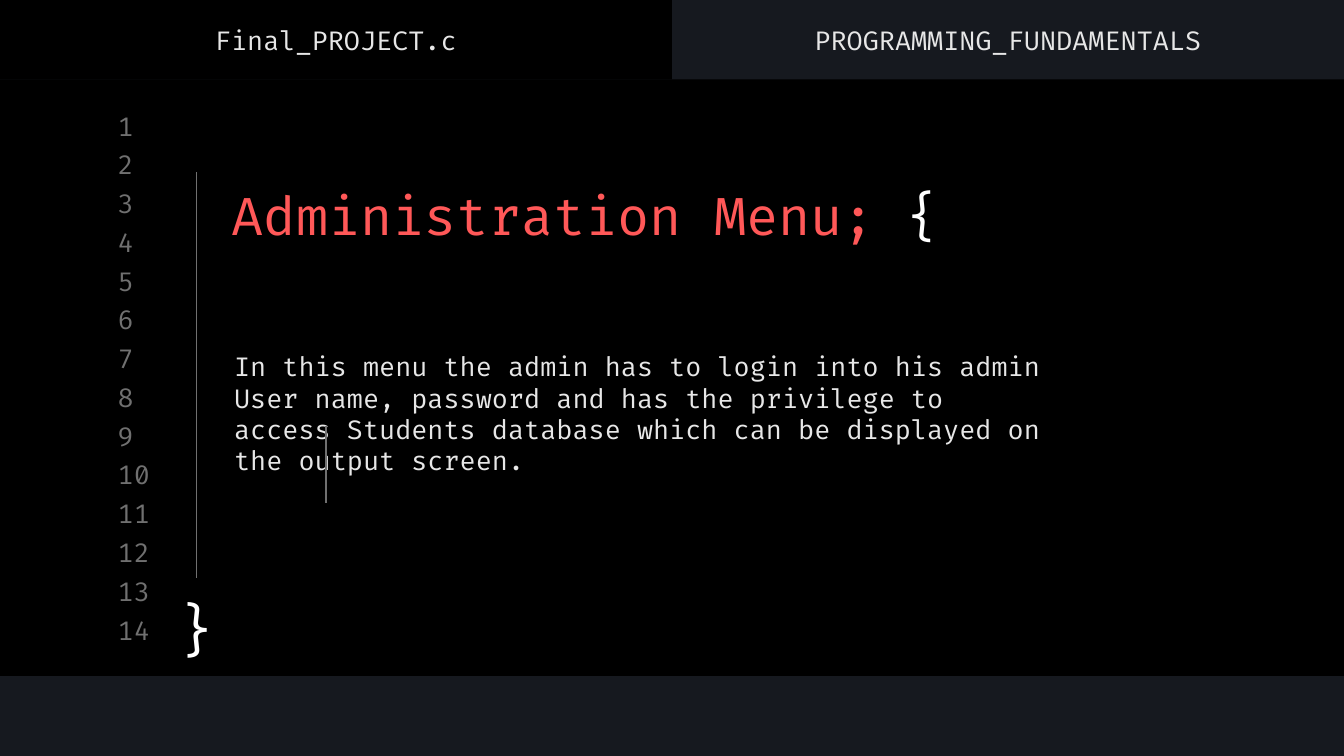
import pptx
import pptx.util
import pptx.dml.color
import pptx.enum.shapes
import pptx.enum.text
from dataclasses import dataclass
from lxml import etree

COLS, ROWS = 100, 56.25
CELL = 0.1  # inches
ALIGN = pptx.enum.text.PP_ALIGN
ANCHOR = pptx.enum.text.MSO_ANCHOR


@dataclass(frozen=True)
class Theme:
    font: str = "Fira Code"
    back: str = "16191F"
    panel: str = "000000"
    dim: str = "707070"
    text: str = "E7E7E7"
    white: str = "FFFFFF"
    red: str = "FF5858"
    body: int = 14
    head: int = 28
    brace: int = 30
    rule: float = 0.75


def grid(*cells):
    return [pptx.util.Inches(n * CELL) for n in cells]


def color(code):
    return pptx.dml.color.RGBColor.from_string(code)


class Page:
    """Draws on one slide, in cells of the grid."""

    def __init__(self, deck, theme):
        self.theme = theme
        self.slide = deck.slides.add_slide(deck.slide_layouts[6])
        fill = self.slide.background.fill
        fill.solid()
        fill.fore_color.rgb = color(theme.back)

    def panel(self, *box):
        kind = pptx.enum.shapes.MSO_SHAPE.RECTANGLE
        shape = self.slide.shapes.add_shape(kind, *grid(*box))
        shape.shadow.inherit = False
        shape.fill.solid()
        shape.fill.fore_color.rgb = color(self.theme.panel)
        shape.line.fill.background()

    def text(self, box, runs, size, align=ALIGN.LEFT, anchor=ANCHOR.MIDDLE,
             pad=(1, 1, 1, 1)):
        """Runs are (words, colour) pairs; pad is left, top, right, bottom."""
        frame = self.slide.shapes.add_textbox(*grid(*box)).text_frame
        frame.word_wrap = True
        frame.vertical_anchor = anchor
        (frame.margin_left, frame.margin_top,
         frame.margin_right, frame.margin_bottom) = grid(*pad)
        para = frame.paragraphs[0]
        para.alignment = align
        for words, code in runs:
            run = para.add_run()
            run.text = words
            run.font.name = self.theme.font
            run.font.size = pptx.util.Pt(size)
            run.font.color.rgb = color(code)

    def rule(self, x, top, end):
        kind = pptx.enum.shapes.MSO_CONNECTOR.STRAIGHT
        line = self.slide.shapes.add_connector(kind, *grid(x, top, x, end))
        line.line.color.rgb = color(self.theme.dim)
        line.line.width = pptx.util.Pt(self.theme.rule)
        props = line._element.spPr
        etree.SubElement(props, pptx.oxml.ns.qn("a:effectLst"))


def main():
    deck = pptx.Presentation()
    deck.slide_width, deck.slide_height = grid(COLS, ROWS)
    theme = Theme()
    page = Page(deck, theme)
    half = COLS / 2

    page.panel(0, 5.9, COLS, 44.4)
    page.panel(0, 0, half, 5.92)

    count, first, last = 14, 8.15, 45.65
    pitch = (last - first) / (count - 1)
    for row in range(count):
        page.text((7.78, first + row * pitch, 4.7, 2.4),
                  [(str(row + 1), theme.dim)], theme.body, pad=(1, 0, 1, 0))

    page.text((16.27, 11, 69.9, 9.9),
              [("Administration Menu; ", theme.red), ("{", theme.white)],
              theme.head)
    words = ("In this menu the admin has to login into his admin User name, "
             "password and has the privilege to access Students database "
             "which can be displayed on the output screen.")
    page.text((17.42, 22.7, 60.6, 20.8), [(words, theme.text)], theme.body,
              pad=(0, 1, 0, 5.7))

    page.text((11.9, 43.25, 5.5, 7), [("}", theme.white)], theme.brace,
              ALIGN.CENTER, ANCHOR.TOP)
    page.rule(14.62, 12.8, 43)
    page.rule(24.26, 31.7, 37.4)

    for tab, name in enumerate(("Final_PROJECT.c", "PROGRAMMING_FUNDAMENTALS")):
        page.text((tab * half, 1, half, 3.9), [(name, theme.text)],
                  theme.body, ALIGN.CENTER, pad=(0, 1, 0, 1))

    deck.save("out.pptx")


if __name__ == "__main__":
    main()
